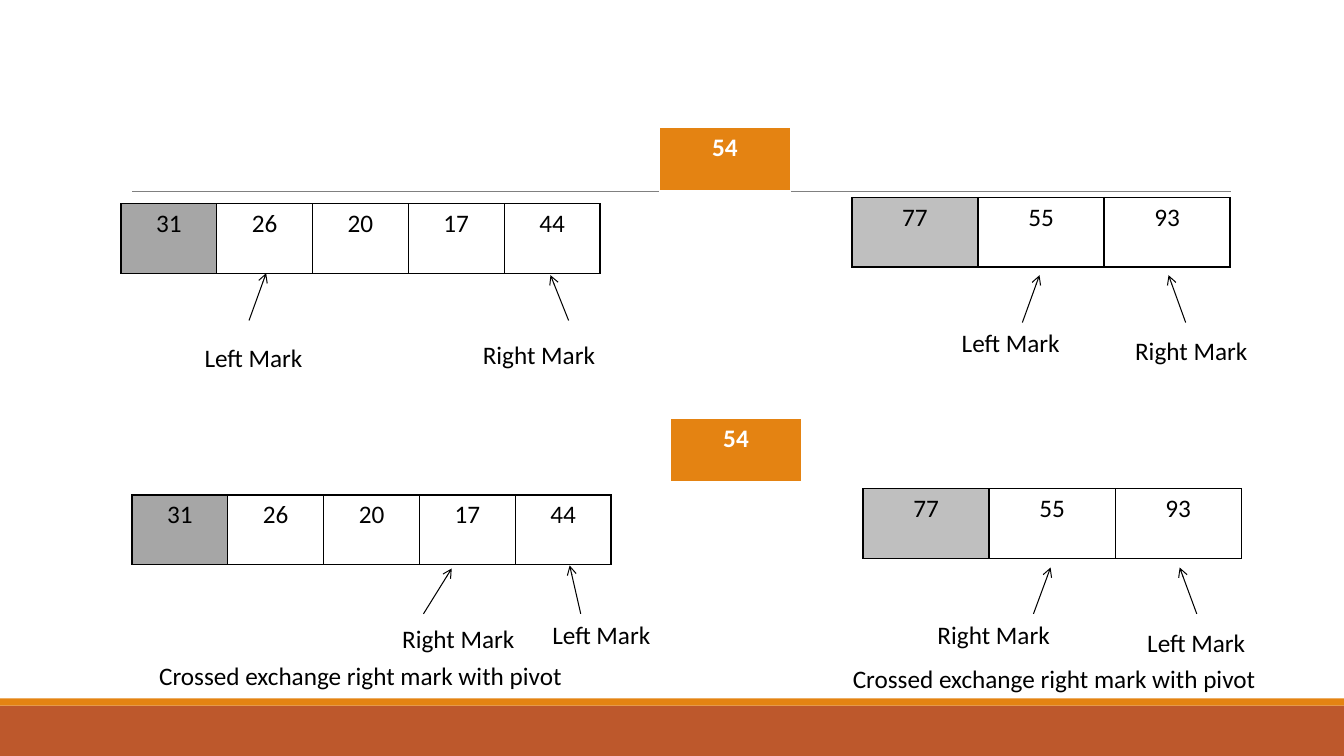
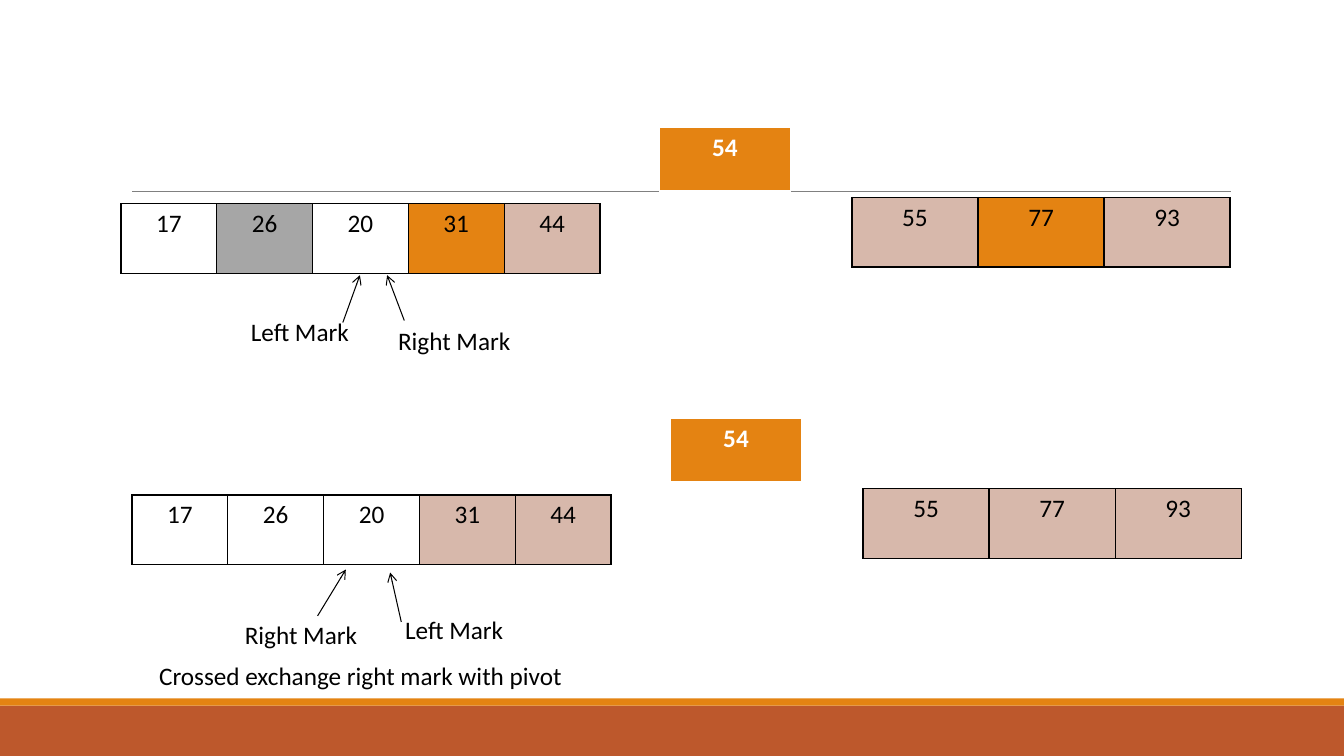
import pptx
import pptx.util
import pptx.dml.color
import pptx.enum.shapes
import pptx.enum.text
import pptx.oxml.ns
from lxml import etree

Inches, Pt, qn = pptx.util.Inches, pptx.util.Pt, pptx.oxml.ns.qn

BLACK, WHITE, RULE = "000000", "FFFFFF", "808080"
ORANGE, RUST, PINK = "E48312", "BD582C", "D7B8AB"
GREY, SILVER = "A6A6A6", "BFBFBF"
LEFT, RIGHT = "Left Mark", "Right Mark"
CAPTION = "Crossed exchange right mark with pivot"


def rgb(value):
    return pptx.dml.color.RGBColor.from_string(value)


class Deck:
    """Holds the shared style and the current slide, and draws each kind of element."""

    font, size = "Calibri", 18
    label_width = {LEFT: 1.18, RIGHT: 1.54, CAPTION: 4.75}

    def __init__(self):
        self.prs = pptx.Presentation()
        self.prs.slide_width, self.prs.slide_height = Inches(13.33), Inches(7.5)
        self.layout = self.prs.slide_layouts[6]
        for ph in list(self.layout.placeholders):
            ph.element.getparent().remove(ph.element)
        self.s = None

    def add_slide(self):
        self.s = self.prs.slides.add_slide(self.layout)

    def move_to_layout(self):
        for sp in list(self.s.shapes):
            self.layout.shapes.element.append(sp.element)

    def band(self, y, height, color):
        sp = self.s.shapes.add_shape(pptx.enum.shapes.MSO_SHAPE.RECTANGLE, 0, Inches(y),
                                     self.prs.slide_width, Inches(height))
        sp.shadow.inherit = False
        sp.fill.solid()
        sp.fill.fore_color.rgb = rgb(color)
        sp.line.fill.background()

    def line(self, start, end, color=BLACK, width=0.75, arrow=False):
        points = [Inches(v) for v in (*start, *end)]
        sp = self.s.shapes.add_connector(pptx.enum.shapes.MSO_CONNECTOR.STRAIGHT, *points)
        sp.line.color.rgb = rgb(color)
        sp.line.width = Pt(width)
        if arrow:
            etree.SubElement(sp.line._get_or_add_ln(), qn("a:tailEnd"), type="arrow")
        etree.SubElement(sp.element.spPr, qn("a:effectLst"))

    def run(self, p, text, color=BLACK, bold=False):
        r = p.add_run()
        r.text = text
        r.font.name, r.font.size, r.font.bold = self.font, Pt(self.size), bold
        r.font.color.rgb = rgb(color)

    def label(self, text, x, y):
        sp = self.s.shapes.add_textbox(Inches(x), Inches(y),
                                       Inches(self.label_width[text]), Inches(0.4))
        tf = sp.text_frame
        tf.word_wrap = True
        tf.auto_size = pptx.enum.text.MSO_AUTO_SIZE.SHAPE_TO_FIT_TEXT
        self.run(tf.paragraphs[0], text)

    def border(self, cell, color, bottom):
        tcPr = cell._tc.get_or_add_tcPr()
        for side, width in (("L", 1), ("R", 1), ("T", 1), ("B", bottom)):
            ln = etree.SubElement(tcPr, qn(f"a:ln{side}"), w=str(Pt(width)))
            fill = etree.SubElement(ln, qn("a:solidFill"))
            etree.SubElement(fill, qn("a:srgbClr"), val=color)

    def array(self, x, y, cells, col, height=0.69, color=BLACK, edge=BLACK, bottom=1, bold=False):
        frame = self.s.shapes.add_table(1, len(cells), Inches(x), Inches(y),
                                        Inches(col * len(cells)), Inches(height))
        tbl = frame.table
        tbl.first_row = tbl.horz_banding = False
        for i, (value, fill) in enumerate(cells):
            tbl.columns[i].width = Inches(col)
            cell = tbl.cell(0, i)
            self.border(cell, edge, bottom)
            if fill:
                cell.fill.solid()
                cell.fill.fore_color.rgb = rgb(fill)
            else:
                cell.fill.background()
            p = cell.text_frame.paragraphs[0]
            p.alignment = pptx.enum.text.PP_ALIGN.CENTER
            self.run(p, str(value), color, bold)

    def step(self, dx, dy, low, high):
        self.array(1.2 + dx, 2.02 + dy, low, 0.95)
        self.array(8.45 + dx, 1.96 + dy, high, 1.25)
        self.array(6.54 + dx, 1.26 + dy, [(54, ORANGE)], 1.3, 0.64, WHITE, WHITE, 3, True)

    def mark(self, text, at, start, tip):
        self.line(start, tip, arrow=True)
        self.label(text, *at)


LOW = list(zip((31, 26, 20, 17, 44), (GREY, None, None, None, None)))
HIGH = list(zip((77, 55, 93), (SILVER, None, None)))
LOW_SWAPPED, HIGH_SWAPPED = (17, 26, 20, 31, 44), (55, 77, 93)

SLIDES = [
    {
        "steps": [(LOW, HIGH), (LOW, HIGH)],
        "marks": [
            (LEFT, (1.93, 3.35), (2.47, 3.18), (2.64, 2.71)),
            (RIGHT, (4.69, 3.32), (5.64, 3.18), (5.46, 2.73)),
            (LEFT, (9.44, 3.2), (10.14, 3.2), (10.31, 2.73)),
            (RIGHT, (11.16, 3.28), (11.76, 3.2), (11.59, 2.73)),
            (RIGHT, (3.89, 6.13), (4.2, 6.09), (4.48, 5.64)),
            (LEFT, (5.38, 6.09), (5.76, 6.09), (5.65, 5.61)),
            (RIGHT, (9.2, 6.09), (10.25, 6.09), (10.42, 5.63)),
            (LEFT, (11.28, 6.17), (11.87, 6.09), (11.7, 5.63)),
        ],
        "captions": [(1.48, 6.5), (8.36, 6.53)],
    },
    {
        "steps": [
            (list(zip(LOW_SWAPPED, (None, GREY, None, ORANGE, PINK))),
             list(zip(HIGH_SWAPPED, (PINK, ORANGE, PINK)))),
            (list(zip(LOW_SWAPPED, (None, None, None, PINK, PINK))),
             list(zip(HIGH_SWAPPED, (PINK, PINK, PINK)))),
        ],
        "marks": [
            (LEFT, (2.39, 3.09), (3.4, 3.2), (3.57, 2.73)),
            (RIGHT, (3.85, 3.18), (4.01, 3.18), (3.84, 2.73)),
            (RIGHT, (2.33, 6.09), (3.15, 6.11), (3.43, 5.65)),
            (LEFT, (3.92, 6.05), (3.98, 6.17), (3.87, 5.68)),
        ],
        "captions": [(1.48, 6.5)],
    },
]


def main():
    deck = Deck()
    for number, content in enumerate(SLIDES):
        deck.add_slide()
        if number == 0:
            deck.band(7, 0.5, RUST)
            deck.band(6.93, 0.07, ORANGE)
            deck.line((1.31, 1.9), (12.21, 1.9), RULE, 0.5)
            deck.move_to_layout()
        for i, (low, high) in enumerate(content["steps"]):
            deck.step(0.11 * i, 2.89 * i, low, high)
        for mark in content["marks"]:
            deck.mark(*mark)
        for x, y in content["captions"]:
            deck.label(CAPTION, x, y)
    deck.prs.save("out.pptx")


if __name__ == "__main__":
    main()
